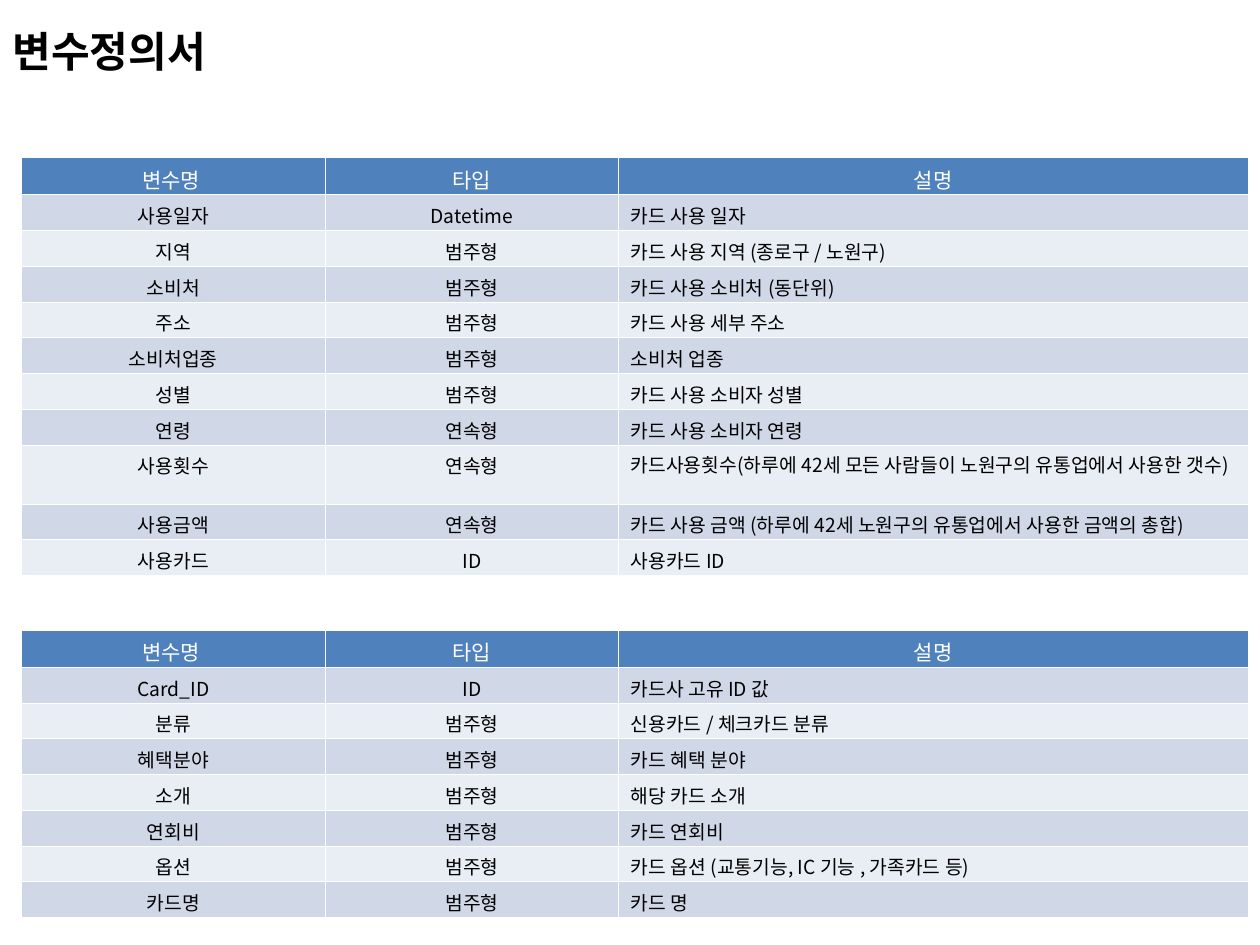
from lxml.etree import SubElement
from pptx import Presentation
from pptx.dml.color import RGBColor
from pptx.enum.text import MSO_ANCHOR, PP_ALIGN
from pptx.oxml.ns import qn
from pptx.util import Pt

FONT = "Noto Sans CJK KR"
HEADER = ("변수명 ", "타입", "설명")
COLUMN_WIDTHS = (174.24, 167.04, 360)
BANDS = ("E9EDF4", "D0D8E8")
HEADER_HEIGHT, ROW_HEIGHT, TWO_LINE_HEIGHT = 21.3, 20.45, 33.7
LONG_TEXT = "카드사용횟수(하루에 42세 모든 사람들이 노원구의 유통업에서 사용한 갯수)"

usage_variables = [
    ("사용일자", "Datetime", "카드 사용 일자"),
    ("지역", "범주형", "카드 사용 지역 (종로구 / 노원구) "),
    ("소비처", "범주형", "카드 사용 소비처 (동단위)"),
    ("주소", "범주형", "카드 사용 세부 주소"),
    ("소비처업종", "범주형", "소비처 업종 "),
    ("성별", "범주형", "카드 사용 소비자 성별 "),
    ("연령", "연속형", "카드 사용 소비자 연령"),
    ("사용횟수", "연속형", LONG_TEXT),
    ("사용금액", "연속형", "카드 사용 금액 (하루에 42세 노원구의 유통업에서 사용한 금액의 총합)"),
    ("사용카드", "ID", "사용카드 ID "),
]
card_variables = [
    ("Card_ID", "ID", "카드사 고유 ID 값 "),
    ("분류", "범주형", "신용카드 / 체크카드 분류 "),
    ("혜택분야", "범주형", "카드 혜택 분야"),
    ("소개", "범주형", "해당 카드 소개 "),
    ("연회비", "범주형", "카드 연회비 "),
    ("옵션", "범주형", "카드 옵션 (교통기능, IC 기능 , 가족카드 등)"),
    ("카드명", "범주형", "카드 명 "),
]


def color(value):
    return RGBColor.from_string(value)


def add_text(paragraph, text, size, ink, bold=False):
    run = paragraph.add_run()
    run.text = text
    run.font.size = Pt(size)
    run.font.bold = bold
    run.font.name = FONT
    run.font.color.rgb = color(ink)
    SubElement(run.font._element, qn("a:ea"), typeface=FONT)


prs = Presentation()
prs.slide_width, prs.slide_height = Pt(720), Pt(540)
slide = prs.slides.add_slide(prs.slide_layouts[5])

title = slide.shapes.title
title.left, title.top, title.width, title.height = Pt(0), Pt(11), Pt(547), Pt(36)
title.text_frame.vertical_anchor = MSO_ANCHOR.MIDDLE
heading = title.text_frame.paragraphs[0]
heading.alignment = PP_ALIGN.LEFT
add_text(heading, "변수정의서", 24, "000000", bold=True)

for top, variables in ((90, usage_variables), (360, card_variables)):
    rows = [HEADER] + variables
    heights = [HEADER_HEIGHT] + [
        TWO_LINE_HEIGHT if row[2] == LONG_TEXT else ROW_HEIGHT for row in variables
    ]
    definitions = slide.shapes.add_table(
        len(rows), 3, Pt(12), Pt(top), Pt(sum(COLUMN_WIDTHS)), Pt(sum(heights))
    ).table
    for column, width in zip(definitions.columns, COLUMN_WIDTHS):
        column.width = Pt(width)
    for r, row in enumerate(rows):
        definitions.rows[r].height = Pt(heights[r])
        for c, text in enumerate(row):
            cell = definitions.cell(r, c)
            cell.margin_bottom = Pt(0)
            paragraph = cell.text_frame.paragraphs[0]
            centred = r == 0 or c < 2
            paragraph.alignment = PP_ALIGN.CENTER if centred else PP_ALIGN.LEFT
            if text == LONG_TEXT:
                paragraph.line_spacing = 0.94
            add_text(paragraph, text, 11 if r else 12, "000000" if r else "FFFFFF")
            borders = cell._tc.get_or_add_tcPr()
            for side in ("lnL", "lnR", "lnT", "lnB"):
                line = SubElement(borders, qn(f"a:{side}"), w=str(Pt(0.5)))
                paint = SubElement(line, qn("a:solidFill"))
                SubElement(paint, qn("a:srgbClr"), val="FFFFFF")
            cell.fill.solid()
            cell.fill.fore_color.rgb = color(BANDS[r % 2] if r else "4F81BD")

prs.save("out.pptx")
